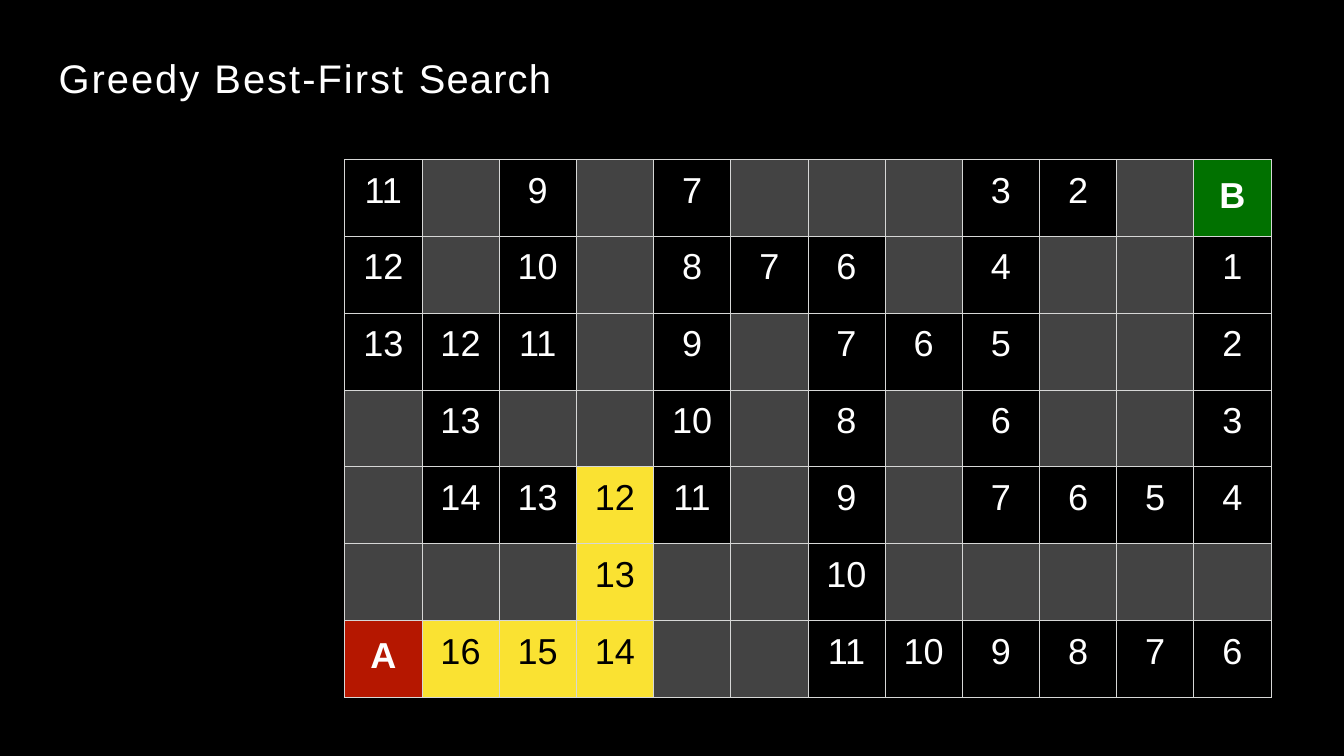
from dataclasses import dataclass

from lxml import etree
from pptx import Presentation
from pptx.dml.color import RGBColor
from pptx.enum.text import PP_ALIGN
from pptx.oxml.ns import qn
from pptx.slide import Slide
from pptx.table import _Cell
from pptx.util import Inches, Pt

CENTER = PP_ALIGN.CENTER
WIDE, HIGH = Inches(21.99), Inches(12.37)
FONT = "Arial"
COLORS = {
    "black": "000000", "white": "FFFFFF", "gray": "434343", "line": "D6D7D6",
    "yellow": "FAE232", "red": "B51700", "green": "017100",
}


@dataclass(frozen=True)
class Look:
    fill: str
    ink: str = "white"
    bold: bool = False
    top: float = 0.18


WALL = Look("gray")
OPEN = Look("black")
TRAIL = Look("yellow", "black")
ENDS = {"A": Look("red", bold=True, top=0.25), "B": Look("green", bold=True, top=0.26)}

# "#" is a wall; a leading "*" marks an explored step.
MAZE = [row.split() for row in (
    "11 #  9  #   7  # #  # 3 2 # B",
    "12 #  10 #   8  7 6  # 4 # # 1",
    "13 12 11 #   9  # 7  6 5 # # 2",
    "#  13 #  #   10 # 8  # 6 # # 3",
    "#  14 13 *12 11 # 9  # 7 6 5 4",
    "#  #  #  *13 #  # 10 # # # # #",
    "A *16 *15 *14 # # 11 10 9 8 7 6",
)]
TITLE = (("Greedy ", 2.3), ("Best-First ", 2.4), ("Search", 1.4))


def color(name: str) -> RGBColor:
    return RGBColor.from_string(COLORS[name])


def pick(mark: str) -> Look:
    """Choose the look that a maze mark stands for."""
    if mark == "#":
        return WALL
    if mark.startswith("*"):
        return TRAIL
    return ENDS.get(mark, OPEN)


def edge(cell: _Cell) -> None:
    """Draw a thin line on all four sides of the cell."""
    props = cell._tc.get_or_add_tcPr()
    for side in "LRTB":
        line = etree.SubElement(props, qn(f"a:ln{side}"), w=str(Pt(1)))
        fill = etree.SubElement(line, qn("a:solidFill"))
        etree.SubElement(fill, qn("a:srgbClr"), val=COLORS["line"])


def paint(cell: _Cell, mark: str) -> None:
    look = pick(mark)
    edge(cell)
    cell.fill.solid()
    cell.fill.fore_color.rgb = color(look.fill)
    cell.margin_left = cell.margin_right = cell.margin_bottom = 0
    cell.margin_top = Inches(look.top)
    if look is WALL:
        return
    cell.text = mark.lstrip("*")
    para = cell.text_frame.paragraphs[0]
    para.alignment = CENTER
    font = para.font
    font.name, font.size, font.bold = FONT, Pt(42.5), look.bold
    font.color.rgb = color(look.ink)


def add_maze(slide: Slide) -> None:
    left, top = int(WIDE * 0.2565), int(HIGH * 0.211)
    width, height = int(WIDE * 0.6894), int(HIGH * 0.7114)
    table = slide.shapes.add_table(
        len(MAZE), len(MAZE[0]), left, top, width, height).table
    table.first_row = table.horz_banding = False
    for r, row in enumerate(MAZE):
        for c, mark in enumerate(row):
            paint(table.cell(r, c), mark)


def add_title(slide: Slide) -> None:
    box = slide.shapes.add_textbox(
        int(WIDE * 0.0437), int(HIGH * 0.0695), int(WIDE * 0.367), int(HIGH * 0.0655))
    frame = box.text_frame
    frame.word_wrap = True
    frame.margin_left = frame.margin_right = frame.margin_bottom = 0
    frame.margin_top = Inches(0.01)
    para = frame.paragraphs[0]
    para.font.name, para.font.size = FONT, Pt(47)
    para.font.color.rgb = color("white")
    for text, gap in TITLE:
        run = para.add_run()
        run.text = text
        run._r.get_or_add_rPr().set("spc", str(round(gap * 100)))


def main() -> None:
    deck = Presentation()
    deck.slide_width, deck.slide_height = WIDE, HIGH
    slide = deck.slides.add_slide(deck.slide_layouts[6])
    back = slide.background.fill
    back.solid()
    back.fore_color.rgb = color("black")
    add_maze(slide)
    add_title(slide)
    deck.save("out.pptx")


if __name__ == "__main__":
    main()
